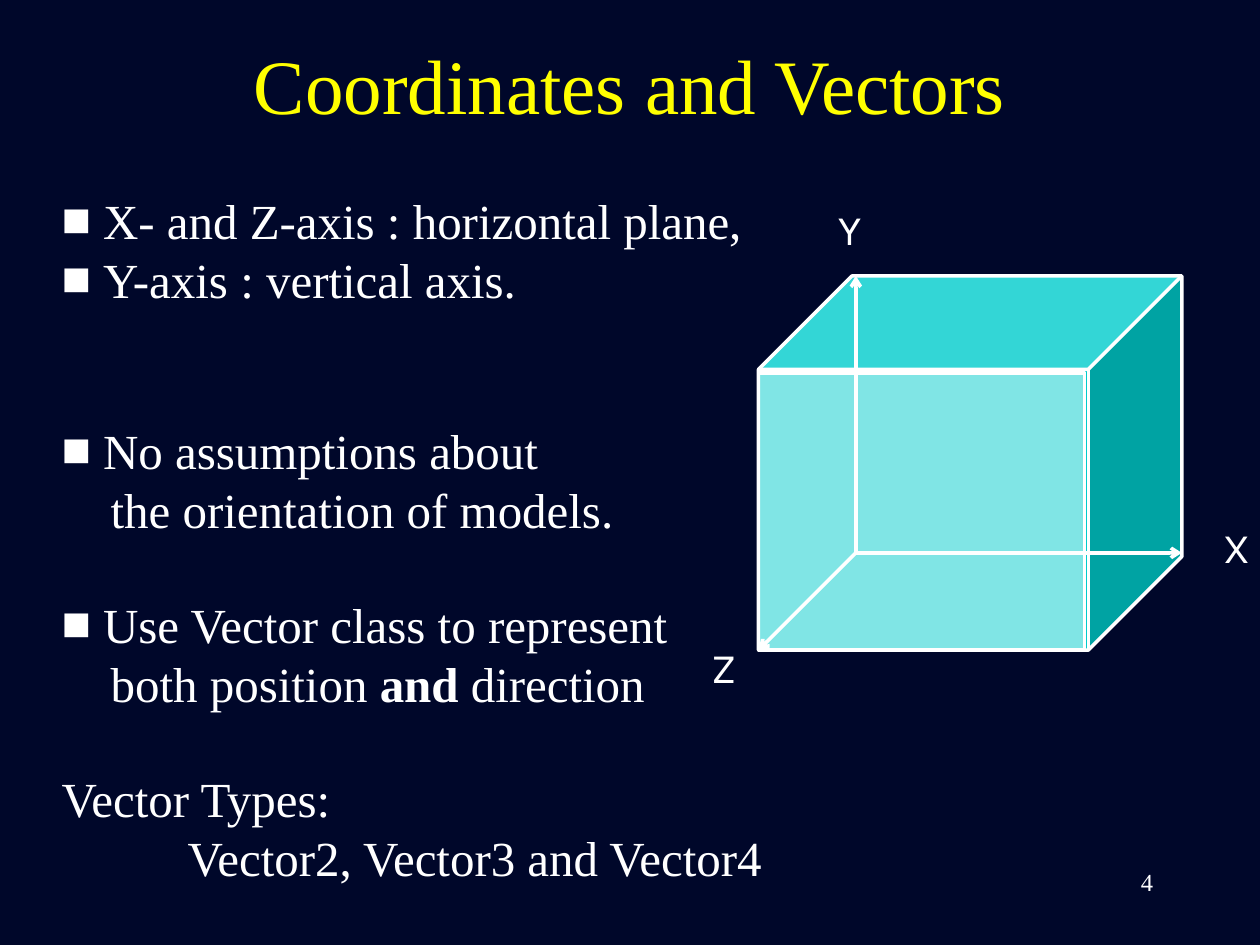
import dataclasses

import lxml.etree
import pptx
import pptx.dml.color
import pptx.enum.shapes
import pptx.enum.text
import pptx.oxml.ns
import pptx.util

COLORS = {"night": "00072A", "title": "FFFF00", "white": "FFFFFF", "cube": "00CCCC"}
SERIF, SANS = "Times New Roman", "Karla"
BODY_SIZE = 28
LINE_PITCH = 1.15 * BODY_SIZE
ALIGN = pptx.enum.text.PP_ALIGN
SHAPE = pptx.enum.shapes.MSO_SHAPE

# Each line: bulleted, left margin in inches, empty lines above, spans of (text, bold)
BODY_LINES = [
    (True, 0.33, 0, [("X- and Z-axis : horizontal plane,", False)]),
    (True, 0.33, 0, [("Y-axis : vertical axis.", False)]),
    (True, 0.33, 2, [("No assumptions about", False)]),
    (False, 0.39, 0, [("the orientation of models.", False)]),
    (True, 0.33, 1, [("Use Vector class to represent", False)]),
    (False, 0.39, 0, [("both position ", False), ("and", True), (" direction", False)]),
    (False, 0, 1, [("Vector Types:", False)]),
    (False, 1, 0, [("Vector2, Vector3 and Vector4", False)]),
]


@dataclasses.dataclass
class Box:
    left: float
    top: float
    width: float
    height: float

    def point(self, x, y):
        """Position at the given shares of this box."""
        return int(self.left + x * self.width), int(self.top + y * self.height)

    def region(self, x, y, width, height):
        return Box(*self.point(x, y), int(width * self.width), int(height * self.height))

    def frame(self):
        return self.left, self.top, self.width, self.height


def rgb(name):
    return pptx.dml.color.RGBColor.from_string(COLORS[name])


def add_xml(parent, tag, **attributes):
    return lxml.etree.SubElement(parent, pptx.oxml.ns.qn(tag), attributes)


def style_font(span, size, font=SERIF, color="white", bold=False):
    span.font.name = font
    span.font.size = pptx.util.Pt(size)
    span.font.bold = bold
    span.font.color.rgb = rgb(color)


def outline(shape):
    shape.line.color.rgb = rgb("white")
    shape.line.width = pptx.util.Pt(2)


def add_label(page, box, text, size, font, align=ALIGN.LEFT, wrap=False):
    label = page.shapes.add_textbox(*box.frame())
    label.text_frame.word_wrap = wrap
    para = label.text_frame.paragraphs[0]
    para.text = text
    para.alignment = align
    style_font(para.runs[0], size, font)


def add_title(page, box):
    title = page.shapes.title
    title.left, title.top, title.width, title.height = box.frame()
    title.text_frame.text = "Coordinates and Vectors"
    title.text_frame.vertical_anchor = pptx.enum.text.MSO_ANCHOR.TOP
    para = title.text_frame.paragraphs[0]
    para.alignment = ALIGN.CENTER
    style_font(para.runs[0], 44, color="title")


def add_body(page, box):
    frame = page.shapes.add_textbox(*box.frame()).text_frame
    frame.word_wrap = True
    for index, (bulleted, margin, gap, spans) in enumerate(BODY_LINES):
        para = frame.add_paragraph() if index else frame.paragraphs[0]
        para.space_before = pptx.util.Pt(round(gap * LINE_PITCH, 1))
        for text, bold in spans:
            span = para.add_run()
            span.text = text
            style_font(span, BODY_SIZE, bold=bold)
        indent = pptx.util.Inches(margin)
        properties = para._p.get_or_add_pPr()
        properties.set("marL", str(indent))
        properties.set("indent", str(-indent if bulleted else 0))
        if bulleted:
            bullet_color = add_xml(properties, "a:buClr")
            add_xml(bullet_color, "a:srgbClr", val=COLORS["white"])
            add_xml(properties, "a:buFont", typeface=SERIF)
            add_xml(properties, "a:buChar", char="■")


def add_axis(page, start, end):
    axis = page.shapes.add_connector(
        pptx.enum.shapes.MSO_CONNECTOR.STRAIGHT, *start, *end)
    outline(axis)
    add_xml(axis.line._get_or_add_ln(), "a:tailEnd", type="arrow")
    add_xml(axis._element.spPr, "a:effectLst")


def add_block(page, kind, box, color):
    block = page.shapes.add_shape(kind, *box.frame())
    block.shadow.inherit = False
    block.fill.solid()
    block.fill.fore_color.rgb = rgb(color)
    outline(block)
    return block


def add_cube(page, box):
    # Solid cube
    cube = add_block(page, SHAPE.CUBE, box, "cube")
    cube.adjustments[0] = 0.25

    # Axes from the hidden rear corner, with their labels
    origin = box.point(0.23, 0.74)
    axes = [("Y", (0.23, 0), (0.16, -0.21)),
            ("Z", (0, 1), (-0.14, 0.96)),
            ("X", (1, 0.74), (1.07, 0.64))]
    for name, end, corner in axes:
        add_axis(page, origin, box.point(*end))
        add_label(page, box.region(*corner, 0.12, 0.17), name, 24, SANS)

    # Translucent front face
    front = add_block(page, SHAPE.RECTANGLE, box.region(0, 0.26, 0.77, 0.74), "white")
    fill_color = front._element.spPr.find(
        pptx.oxml.ns.qn("a:solidFill") + "/" + pptx.oxml.ns.qn("a:srgbClr"))
    add_xml(fill_color, "a:alpha", val="50000")


def main():
    deck = pptx.Presentation()
    deck.slide_width = pptx.util.Inches(10)
    deck.slide_height = pptx.util.Inches(7.5)
    page = deck.slides.add_slide(deck.slide_layouts[5])
    page.background.fill.solid()
    page.background.fill.fore_color.rgb = rgb("night")

    # Regions as shares of the slide
    whole = Box(0, 0, deck.slide_width, deck.slide_height)
    add_title(page, whole.region(0.075, 0.033, 0.85, 0.178))
    add_body(page, whole.region(0.039, 0.195, 0.617, 0.761))
    add_cube(page, whole.region(0.602, 0.292, 0.336, 0.396))
    add_label(page, whole.region(0.717, 0.911, 0.208, 0.067), "4", 14, SERIF,
              align=ALIGN.RIGHT, wrap=True)
    deck.save("out.pptx")


if __name__ == "__main__":
    main()
